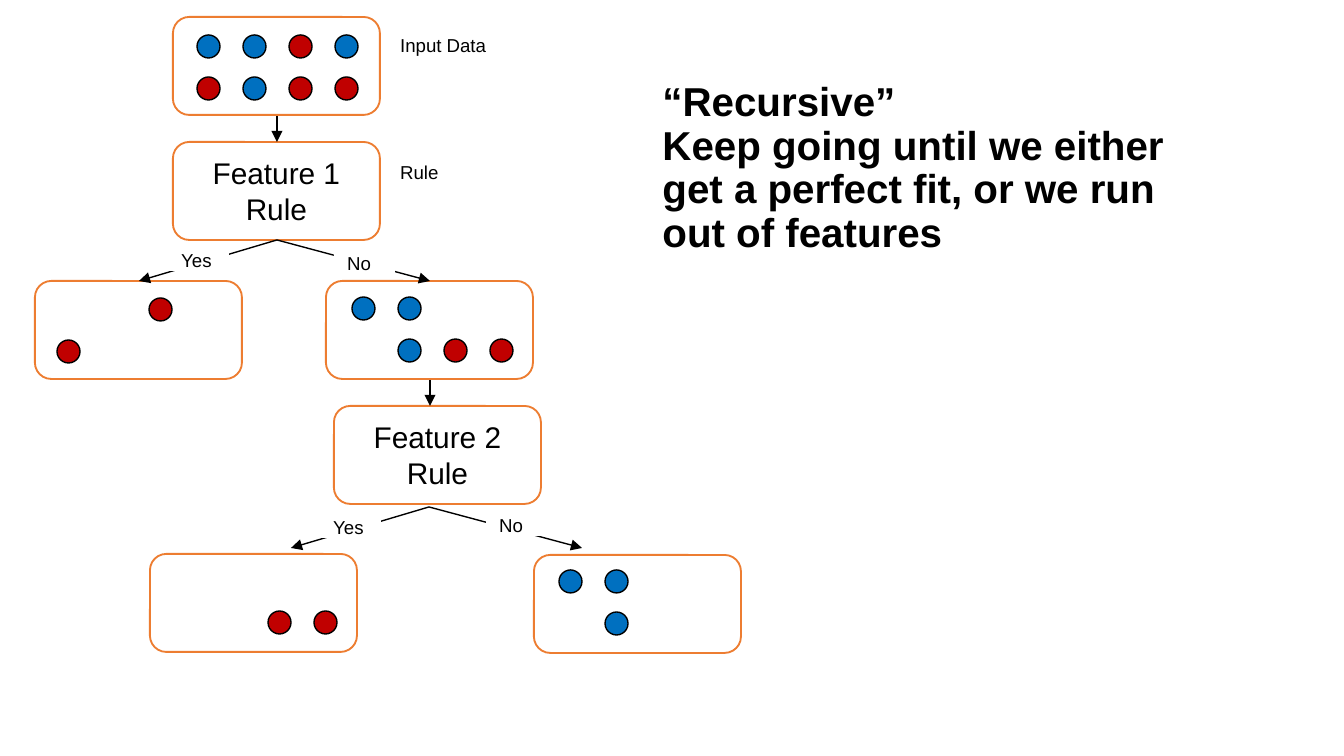
from pptx import Presentation
from pptx.dml.color import RGBColor
from pptx.enum.shapes import MSO_CONNECTOR, MSO_SHAPE
from pptx.enum.text import MSO_ANCHOR, MSO_AUTO_SIZE, PP_ALIGN
from pptx.oxml.ns import qn
from pptx.util import Pt
from lxml import etree

RECT, ROUND, OVAL = MSO_SHAPE.RECTANGLE, MSO_SHAPE.ROUNDED_RECTANGLE, MSO_SHAPE.OVAL
LINE = MSO_CONNECTOR.STRAIGHT
LEFT, MID = PP_ALIGN.LEFT, PP_ALIGN.CENTER
TOP, CENTER = MSO_ANCHOR.TOP, MSO_ANCHOR.MIDDLE
PX = 914400 / 134.4
HEX = {"black": "000000", "white": "FFFFFF", "edge": "ED7D31", "B": "0070C0", "R": "C00000"}
RGB = {name: RGBColor.from_string(code) for name, code in HEX.items()}
BOX_W, BOX_H, DOT = 207, 98, 23
STEP_X, STEP_Y = 46, 42


def write(shape, text, size=10, bold=False, align=LEFT, anchor=TOP, space=None):
    frame = shape.text_frame
    frame.word_wrap = True
    frame.auto_size = MSO_AUTO_SIZE.NONE
    frame.vertical_anchor = anchor
    para = frame.paragraphs[0]
    para.text = text
    para.alignment = align
    para.line_spacing = space
    for run in para.runs:
        run.font.name = "Arial"
        run.font.size = Pt(size)
        run.font.bold = bold
        run.font.color.rgb = RGB["black"]


def draw(kind, x, y, w, h, fill="white", edge=None, weight=1):
    shape = slide.shapes.add_shape(kind, *[round(n * PX) for n in (x, y, w, h)])
    shape.shadow.inherit = False
    shape.fill.solid()
    shape.fill.fore_color.rgb = RGB[fill]
    if edge:
        shape.line.color.rgb = RGB[edge]
        shape.line.width = Pt(weight)
    else:
        shape.line.fill.background()
    return shape


deck = Presentation()
deck.slide_width, deck.slide_height = round(1344 * PX), round(756 * PX)
slide = deck.slides.add_slide(deck.slide_layouts[5])

title = slide.shapes.title
title.left, title.top, title.width, title.height = [round(n * PX) for n in (649, 106, 538, 126)]
write(title, "“Recursive”\vKeep going until we either get a perfect fit, or we run out of features",
      size=21.6, bold=True, anchor=CENTER, space=0.9)

for x, y, text in [(173, 142, "Feature 1 Rule"), (334, 406, "Feature 2 Rule")]:
    box = draw(ROUND, x, y, BOX_W, BOX_H, edge="edge")
    write(box, text, size=16, align=MID, anchor=CENTER)

groups = [
    (173, 17, 24, 18, ["BBRB", "RBRR"]),
    (35, 281, 22, 17, ["  R ", "R   "]),
    (326, 281, 26, 16, ["BB  ", " BRR"]),
    (150, 554, 26, 15, ["    ", "  RR"]),
    (534, 555, 25, 15, ["BB  ", " B  "]),
]
for x, y, pad_x, pad_y, rows in groups:
    draw(ROUND, x, y, BOX_W, BOX_H, edge="edge")
    for row, marks in enumerate(rows):
        for col, mark in enumerate(marks):
            if mark != " ":
                draw(OVAL, x + pad_x + col * STEP_X, y + pad_y + row * STEP_Y,
                     DOT, DOT, fill=mark, edge="black", weight=0.75)

arrows = [
    (277, 116, 277, 142), (277, 240, 139, 281), (277, 240, 430, 281),
    (430, 380, 430, 406), (429, 507, 291, 548), (429, 507, 582, 548),
]
for ends in arrows:
    arrow = slide.shapes.add_connector(LINE, *[round(n * PX) for n in ends])
    arrow.line.color.rgb = RGB["black"]
    arrow.line.width = Pt(0.75)
    etree.SubElement(arrow.line._get_or_add_ln(), qn("a:tailEnd"), type="triangle")
    etree.SubElement(arrow._element.spPr, qn("a:effectLst"))

labels = [
    (387, 27, 169, "Input Data"), (387, 154, 169, "Rule"),
    (168, 242, 61, "Yes"), (334, 245, 61, "No"),
    (320, 509, 61, "Yes"), (486, 507, 61, "No"),
]
for x, y, w, text in labels:
    write(draw(RECT, x, y, w, 29), text)

deck.save("out.pptx")
